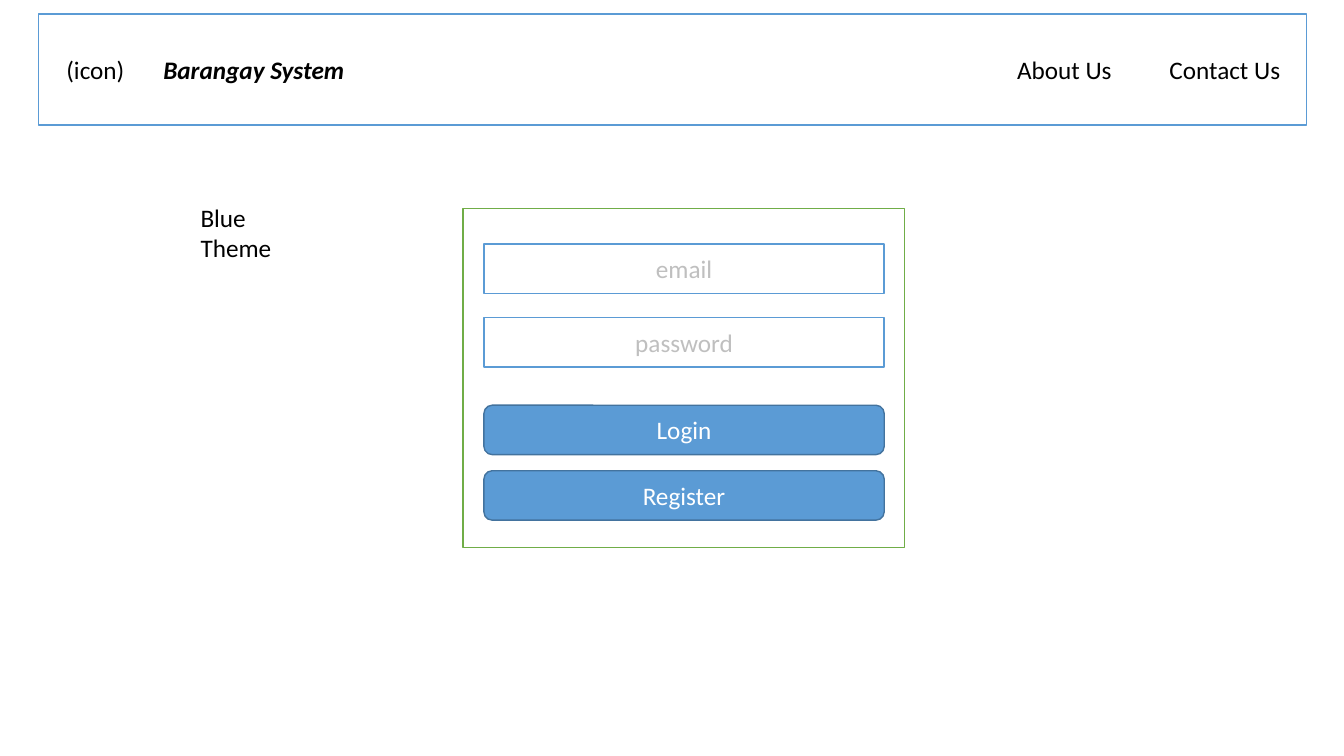
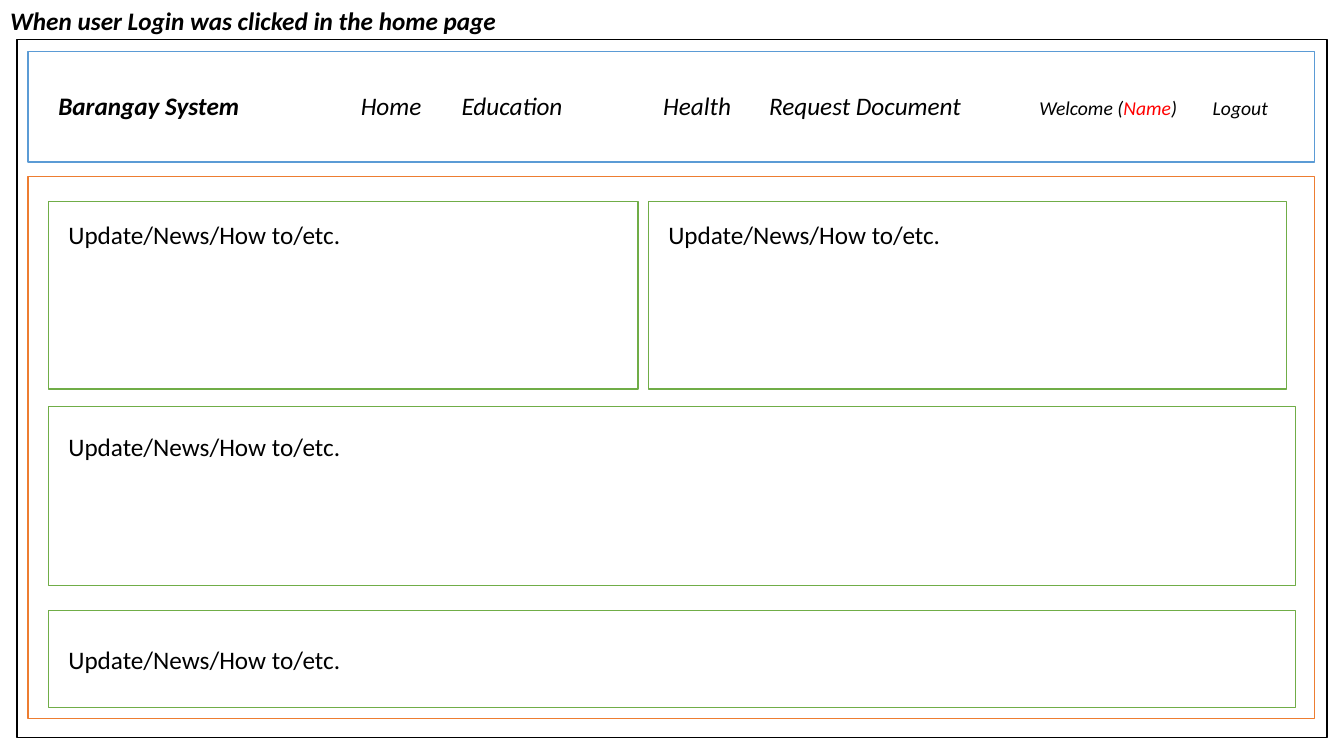
from dataclasses import dataclass
from typing import NamedTuple

from lxml import etree
from pptx import Presentation
from pptx.dml.color import RGBColor
from pptx.enum.shapes import MSO_SHAPE
from pptx.enum.text import MSO_ANCHOR, MSO_AUTO_SIZE, PP_ALIGN
from pptx.oxml.ns import qn
from pptx.util import Inches, Pt

RECTANGLE = MSO_SHAPE.RECTANGLE
ROUNDED = MSO_SHAPE.ROUNDED_RECTANGLE
LEFT, CENTER = PP_ALIGN.LEFT, PP_ALIGN.CENTER
TOP, MIDDLE = MSO_ANCHOR.TOP, MSO_ANCHOR.MIDDLE
NO_AUTOFIT = MSO_AUTO_SIZE.NONE
TITLE_ONLY = 5
LINE_HEIGHT = 0.4


@dataclass(frozen=True)
class Theme:
    """Colours and type sizes shared by the slides."""

    font: str = "Calibri"
    body: int = 18
    small: int = 14
    border: int = 1
    white: str = "FFFFFF"
    black: str = "000000"
    blue: str = "5B9BD5"
    dark_blue: str = "43739E"
    green: str = "70AD47"
    orange: str = "ED7D31"
    red: str = "FF0000"
    hint: str = "BFBFBF"


THEME = Theme()


class Box(NamedTuple):
    """A region in inches."""

    left: float
    top: float
    width: float
    height: float

    def inner(self, dx, dy, width, height):
        """Return a box placed relative to this one."""
        return Box(self.left + dx, self.top + dy, width, height)

    def lengths(self):
        """Return the region as slide lengths."""
        return [Inches(value) for value in self]


def write(paragraph, text, size=THEME.body, color=THEME.black, bold=False, italic=False):
    """Append formatted text to a paragraph."""
    run = paragraph.add_run()
    run.text = text
    font = run.font
    font.name, font.size = THEME.font, Pt(size)
    font.bold, font.italic = bold, italic
    font.color.rgb = RGBColor.from_string(color)


def add_panel(slide, box, line, fill=THEME.white, preset=RECTANGLE, text="", color=THEME.black):
    """Draw a bordered panel with optional centred text."""
    panel = slide.shapes.add_shape(preset, *box.lengths())
    panel.shadow.inherit = False
    panel.fill.solid()
    panel.fill.fore_color.rgb = RGBColor.from_string(fill)
    panel.line.color.rgb = RGBColor.from_string(line)
    panel.line.width = Pt(THEME.border)
    if text:
        panel.text_frame.vertical_anchor = MIDDLE
        paragraph = panel.text_frame.paragraphs[0]
        paragraph.alignment = CENTER
        write(paragraph, text, color=color)


def add_label(slide, box, text="", **style):
    """Add a wrapping text box and return its paragraph."""
    frame = slide.shapes.add_textbox(*box.lengths()).text_frame
    frame.word_wrap = True
    paragraph = frame.paragraphs[0]
    if text:
        write(paragraph, text, **style)
    return paragraph


def set_title(slide, box, text):
    """Place the title placeholder in front of the panels drawn so far."""
    title = slide.shapes.title
    title.left, title.top, title.width, title.height = box.lengths()
    frame = title.text_frame
    frame.auto_size, frame.word_wrap = NO_AUTOFIT, False
    frame.vertical_anchor = TOP
    paragraph = frame.paragraphs[0]
    paragraph.alignment = LEFT
    write(paragraph, text, bold=True, italic=True)
    title.element.getparent().append(title.element)


def set_tabs(paragraph, stops):
    """Give a paragraph left tab stops in inches."""
    tabs = etree.SubElement(paragraph._p.get_or_add_pPr(), qn("a:tabLst"))
    for stop in stops:
        etree.SubElement(tabs, qn("a:tab"), pos=str(Inches(stop)), algn="l")


def add_home_header(slide, box):
    """Draw the header of the home page."""
    add_panel(slide, box, THEME.blue)
    set_title(slide, box.inner(1.14, 0.35, 2.02, LINE_HEIGHT), "Barangay System")
    for text, dx, width in (("(icon)", 0.18, 0.79), ("About Us", 9.61, 1.14),
                            ("Contact Us", 11.12, 1.45)):
        add_label(slide, box.inner(dx, 0.35, width, LINE_HEIGHT), text)


def add_login_form(slide, box):
    """Draw the login form with its fields and buttons."""
    add_panel(slide, box, THEME.green)
    field = dict(line=THEME.blue, color=THEME.hint)
    button = dict(line=THEME.dark_blue, fill=THEME.blue, preset=ROUNDED, color=THEME.white)
    for text, dy, style in (("email", 0.35, field), ("password", 1.08, field),
                            ("Login", 1.95, button), ("Register", 2.6, button)):
        add_panel(slide, box.inner(0.21, dy, box.width - 0.41, 0.49), text=text, **style)


def add_user_header(slide, box):
    """Draw the navigation bar of a logged-in user."""
    add_panel(slide, box, THEME.blue)
    menu = add_label(slide, box.inner(0.2, 0.34, 12.37, LINE_HEIGHT))
    set_tabs(menu, (3, 4, 6, 7.05, 9.73, 11.45))
    write(menu, "Barangay System", bold=True, italic=True)
    write(menu, "\tHome\tEducation\tHealth\tRequest Document\t", italic=True)
    for text, color in (("Welcome (", THEME.black), ("Name", THEME.red),
                        (")\tLogout", THEME.black)):
        write(menu, text, size=THEME.small, color=color, italic=True)


def add_news_area(slide, box):
    """Draw the news panels inside their frame."""
    add_panel(slide, box, THEME.orange)
    full_width = box.width - 0.39
    for dx, dy, width, height, text_top in ((0.2, 0.25, 5.85, 1.86, 0.13),
                                            (6.15, 0.25, 6.33, 1.86, 0.13),
                                            (0.2, 2.28, full_width, 1.78, 0.2),
                                            (0.2, 4.31, full_width, 0.96, 0.28)):
        news = box.inner(dx, dy, width, height)
        add_panel(slide, news, THEME.green)
        add_label(slide, news.inner(0.1, text_top, 3.17, LINE_HEIGHT), "Update/News/How to/etc.")


def build_home(slide):
    """Build the home page."""
    add_home_header(slide, Box(0.38, 0.14, 12.58, 1.1))
    add_login_form(slide, Box(4.59, 2.07, 4.38, 3.36))
    add_label(slide, Box(1.89, 1.96, 1.05, 0.71), "Blue Theme")


def build_user_page(slide):
    """Build the page shown after login."""
    page = Box(0.17, 0.39, 12.99, 6.93)
    set_title(slide, Box(0, 0, 5.19, LINE_HEIGHT), "When user Login was clicked in the home page")
    add_panel(slide, page, THEME.black)
    add_user_header(slide, page.inner(0.11, 0.12, 12.76, 1.1))
    add_news_area(slide, page.inner(0.11, 1.36, 12.76, 5.38))


def main():
    """Build and save the presentation."""
    deck = Presentation()
    deck.slide_width, deck.slide_height = Inches(13.33), Inches(7.5)
    for build in (build_home, build_user_page):
        build(deck.slides.add_slide(deck.slide_layouts[TITLE_ONLY]))
    deck.save("out.pptx")


if __name__ == "__main__":
    main()
